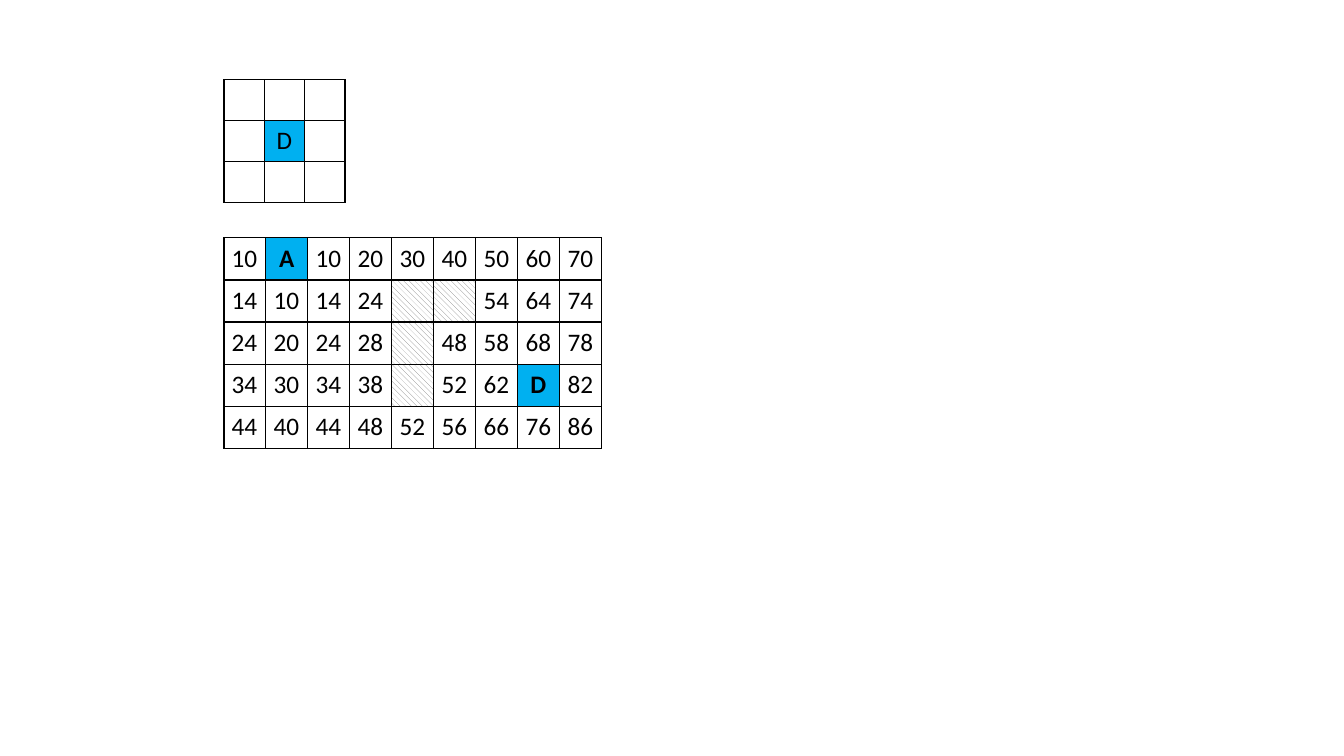
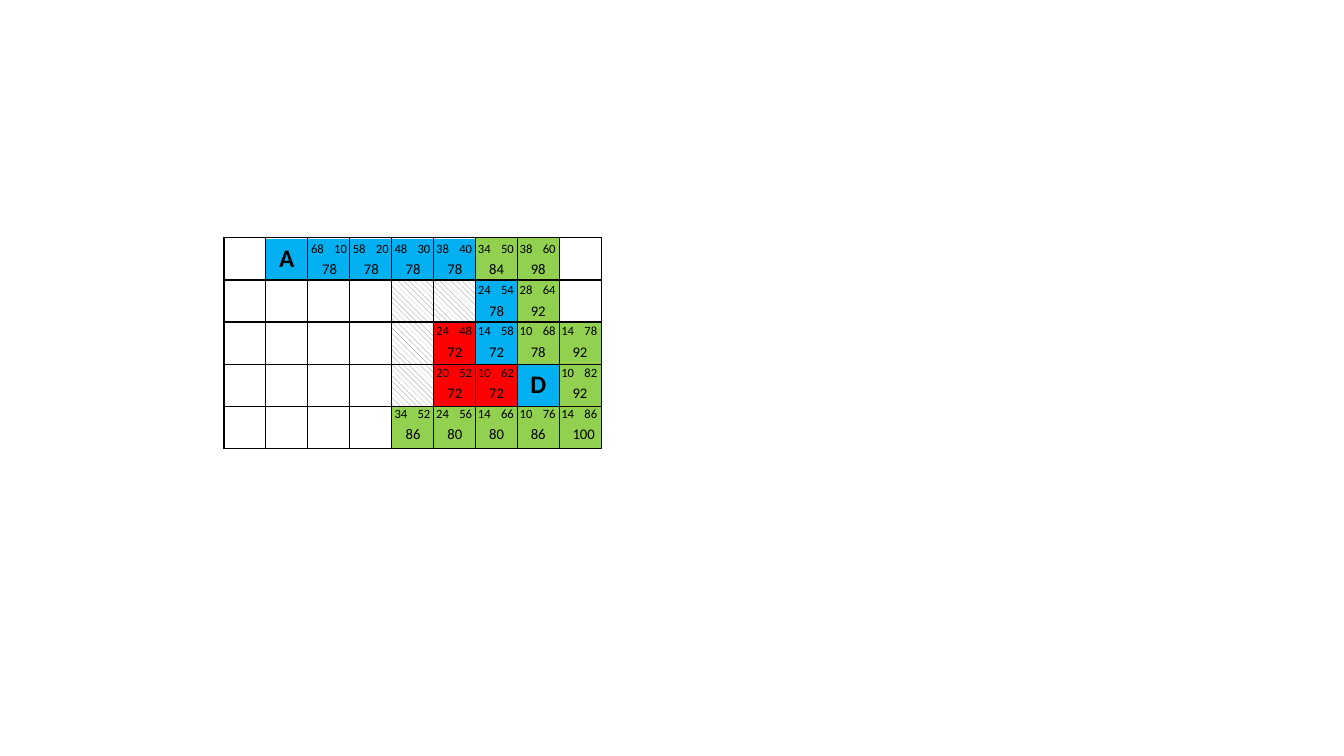
"""Build two slides that show grid distances and path costs between cells A and D."""
from dataclasses import dataclass, field

from lxml import etree
from pptx import Presentation
from pptx.dml.color import RGBColor
from pptx.enum.dml import MSO_PATTERN
from pptx.enum.text import MSO_ANCHOR, MSO_AUTO_SIZE, PP_ALIGN
from pptx.oxml.ns import qn
from pptx.slide import Slide
from pptx.table import _Cell
from pptx.util import Pt

CENTER = PP_ALIGN.CENTER
MIDDLE = MSO_ANCHOR.MIDDLE
GROW = MSO_AUTO_SIZE.SHAPE_TO_FIT_TEXT
HATCH = MSO_PATTERN.WIDE_DOWNWARD_DIAGONAL
STRIPE = MSO_PATTERN.DARK_HORIZONTAL

BLACK = RGBColor(0x00, 0x00, 0x00)
WHITE = RGBColor(0xFF, 0xFF, 0xFF)
GRAY = RGBColor(0x80, 0x80, 0x80)
BLUE = RGBColor(0x00, 0xB0, 0xF0)
GREEN = RGBColor(0x92, 0xD0, 0x50)
RED = RGBColor(0xFF, 0x00, 0x00)

FONT = {"name": "Calibri", "size": Pt(18), "bold": False}
BOLD = {"bold": True}
COST_FONT = {"size": Pt(9)}
TOTAL_FONT = {"size": Pt(10.5)}
PLAIN_TABLE = {"first_row": False, "horz_banding": False}
BOX_FRAME = {"word_wrap": True, "auto_size": GROW}

Position = tuple[int, int]


@dataclass(frozen=True)
class Paint:
    """Fill of a cell, with a pattern if it has one."""
    color: RGBColor
    pattern: MSO_PATTERN | None = None


@dataclass(frozen=True)
class Grid:
    """Table of equal cells whose fills are given by letters."""
    left: float
    top: float
    width: float
    height: float
    paints: list[str]
    names: dict[Position, str]
    font: dict = field(default_factory=dict)


@dataclass(frozen=True)
class Lattice:
    """Regular places for the number boxes over a grid."""
    left: float
    top: float
    across: float
    down: float


@dataclass(frozen=True)
class Label:
    """Number box, offset from its lattice place."""
    width: float
    height: float
    right: float = 0
    below: float = 0
    font: dict = field(default_factory=dict)


PAINTS = {
    "B": Paint(BLUE),
    "P": Paint(BLUE, STRIPE),
    "H": Paint(GRAY, HATCH),
    "G": Paint(GREEN),
    "R": Paint(RED),
}

MAZE = {"left": 160, "top": 169.9, "width": 29.94, "height": 30.1,
        "names": {(0, 1): "A", (3, 7): "D"}, "font": BOLD}
NEIGHBORS = Grid(160, 56.9, 28.8, 29, ["...", ".B.", "..."], {(1, 1): "D"})
DISTANCE_GRID = Grid(**MAZE, paints=[
    ".B.......",
    "....HH...",
    "....H....",
    "....H..B.",
    ".........",
])
PATH_GRID = Grid(**MAZE, paints=[
    ".PPPPPGG.",
    "....HHPG.",
    "....HRPGG",
    "....HRRPG",
    "....GGGGG",
])

FROM_START = [
    [10, None, 10, 20, 30, 40, 50, 60, 70],
    [14, 10, 14, 24, None, None, 54, 64, 74],
    [24, 20, 24, 28, None, 48, 58, 68, 78],
    [34, 30, 34, 38, None, 52, 62, None, 82],
    [44, 40, 44, 48, 52, 56, 66, 76, 86],
]
TO_GOAL = [
    [None, None, 68, 58, 48, 38, 34, 38, None],
    [None, None, None, None, None, None, 24, 28, None],
    [None, None, None, None, None, 24, 14, 10, 14],
    [None, None, None, None, None, 20, 10, None, 10],
    [None, None, None, None, 34, 24, 14, 10, 14],
]

DISTANCE_PLACES = Lattice(158.4, 169.4, 30, 30.1)
COST_PLACES = Lattice(155.5, 168.6, 29.8, 29.4)
DISTANCE = Label(40.3, 29)
GOAL_COST = Label(26, 18, font=COST_FONT)
START_COST = Label(26, 18, right=16.5, font=COST_FONT)
TOTAL_COST = Label(34, 20, right=8, below=13.8, font=TOTAL_FONT)


def apply(target: object, values: dict) -> None:
    """Set each named attribute of the target."""
    for name, value in values.items():
        setattr(target, name, value)


def write(frame: object, text: str, font: dict) -> None:
    """Put one black span of text in a frame."""
    span = frame.paragraphs[0].add_run()
    span.text = text
    apply(span.font, FONT | font)
    span.font.color.rgb = BLACK


def outline(cell: _Cell) -> None:
    """Give a cell a thin black border on all sides."""
    properties = cell._tc.get_or_add_tcPr()
    for side in ("a:lnL", "a:lnR", "a:lnT", "a:lnB"):
        line = etree.SubElement(properties, qn(side), w=str(Pt(1)))
        solid = etree.SubElement(line, qn("a:solidFill"))
        etree.SubElement(solid, qn("a:srgbClr"), val=str(BLACK))


def paint_cell(cell: _Cell, paint: Paint | None) -> None:
    """Fill a cell, or leave it clear."""
    if paint is None:
        cell.fill.background()
    elif paint.pattern is None:
        cell.fill.solid()
        cell.fill.fore_color.rgb = paint.color
    else:
        cell.fill.patterned()
        cell.fill.pattern = paint.pattern
        cell.fill.fore_color.rgb = paint.color
        cell.fill.back_color.rgb = WHITE


def draw_grid(page: Slide, grid: Grid) -> None:
    """Draw a grid as a table."""
    rows, columns = len(grid.paints), len(grid.paints[0])
    table = page.shapes.add_table(
        rows, columns, Pt(grid.left), Pt(grid.top),
        Pt(grid.width * columns), Pt(grid.height * rows)).table
    apply(table, PLAIN_TABLE)
    for column in table.columns:
        column.width = Pt(grid.width)
    for row_index, letters in enumerate(grid.paints):
        table.rows[row_index].height = Pt(grid.height)
        for column_index, letter in enumerate(letters):
            cell = table.cell(row_index, column_index)
            outline(cell)
            paint_cell(cell, PAINTS.get(letter))
            cell.vertical_anchor = MIDDLE
            name = grid.names.get((row_index, column_index))
            if name:
                cell.text_frame.paragraphs[0].alignment = CENTER
                write(cell.text_frame, name, grid.font)


def draw_numbers(page: Slide, numbers: list[list[int | None]],
                 places: Lattice, label: Label) -> None:
    """Draw a box for each number at its lattice place."""
    for row_index, row in enumerate(numbers):
        for column_index, number in enumerate(row):
            if number is None:
                continue
            box = page.shapes.add_textbox(
                Pt(places.left + places.across * column_index + label.right),
                Pt(places.top + places.down * row_index + label.below),
                Pt(label.width), Pt(label.height))
            apply(box.text_frame, BOX_FRAME)
            write(box.text_frame, str(number), label.font)


def draw_distances(page: Slide) -> None:
    """Draw the neighbor grid and the distances from A."""
    draw_grid(page, NEIGHBORS)
    draw_grid(page, DISTANCE_GRID)
    draw_numbers(page, FROM_START, DISTANCE_PLACES, DISTANCE)


def draw_costs(page: Slide) -> None:
    """Draw the path with both costs and their total in each cell."""
    visited = [[start if goal is not None else None
                for start, goal in zip(starts, goals)]
               for starts, goals in zip(FROM_START, TO_GOAL)]
    totals = [[start + goal if goal is not None else None
               for start, goal in zip(starts, goals)]
              for starts, goals in zip(FROM_START, TO_GOAL)]
    draw_grid(page, PATH_GRID)
    draw_numbers(page, TO_GOAL, COST_PLACES, GOAL_COST)
    draw_numbers(page, visited, COST_PLACES, START_COST)
    draw_numbers(page, totals, COST_PLACES, TOTAL_COST)


def main() -> None:
    """Build and save the deck."""
    deck = Presentation()
    deck.slide_width, deck.slide_height = Pt(960), Pt(540)
    for draw in (draw_distances, draw_costs):
        draw(deck.slides.add_slide(deck.slide_layouts[6]))
    deck.save("out.pptx")


main()
